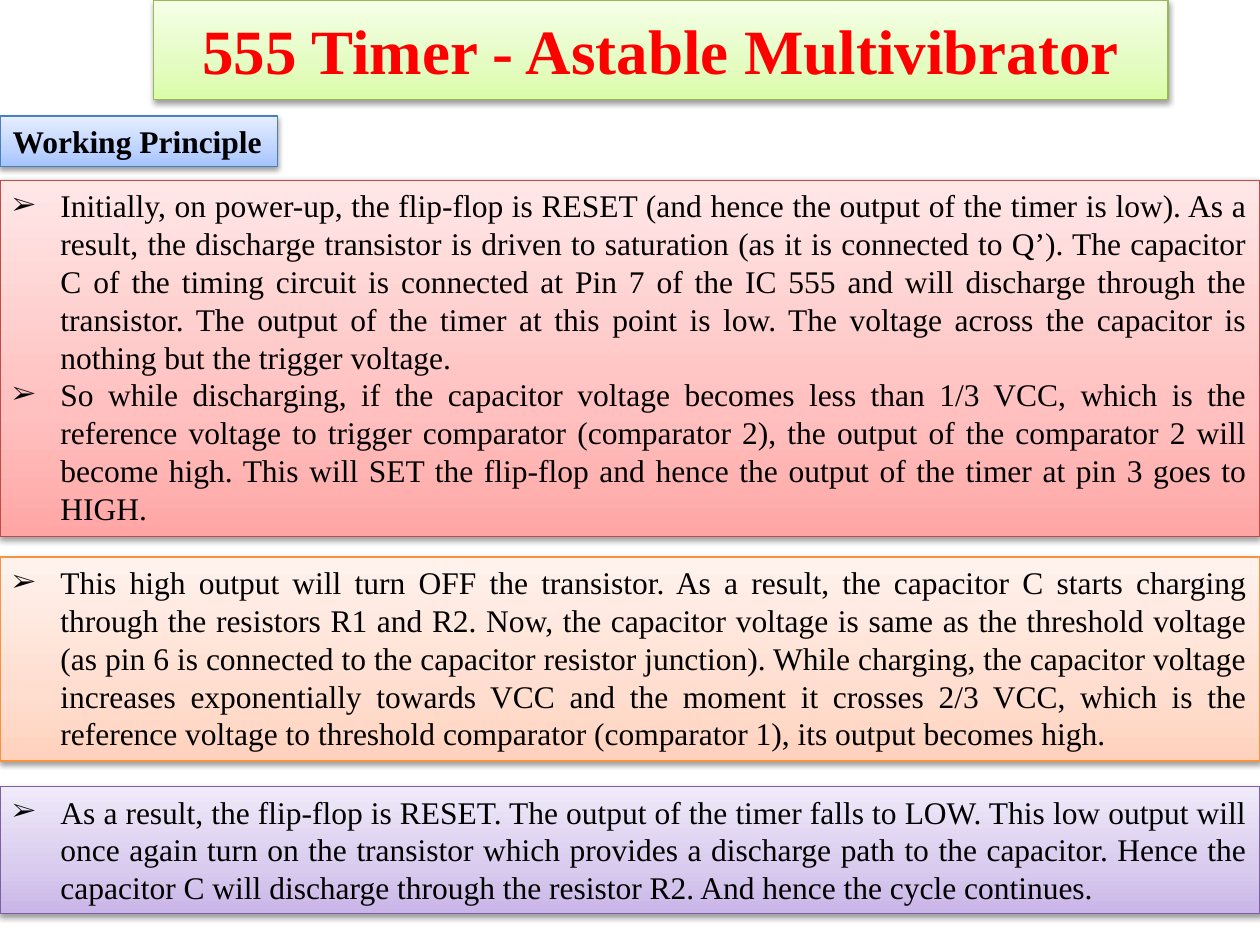
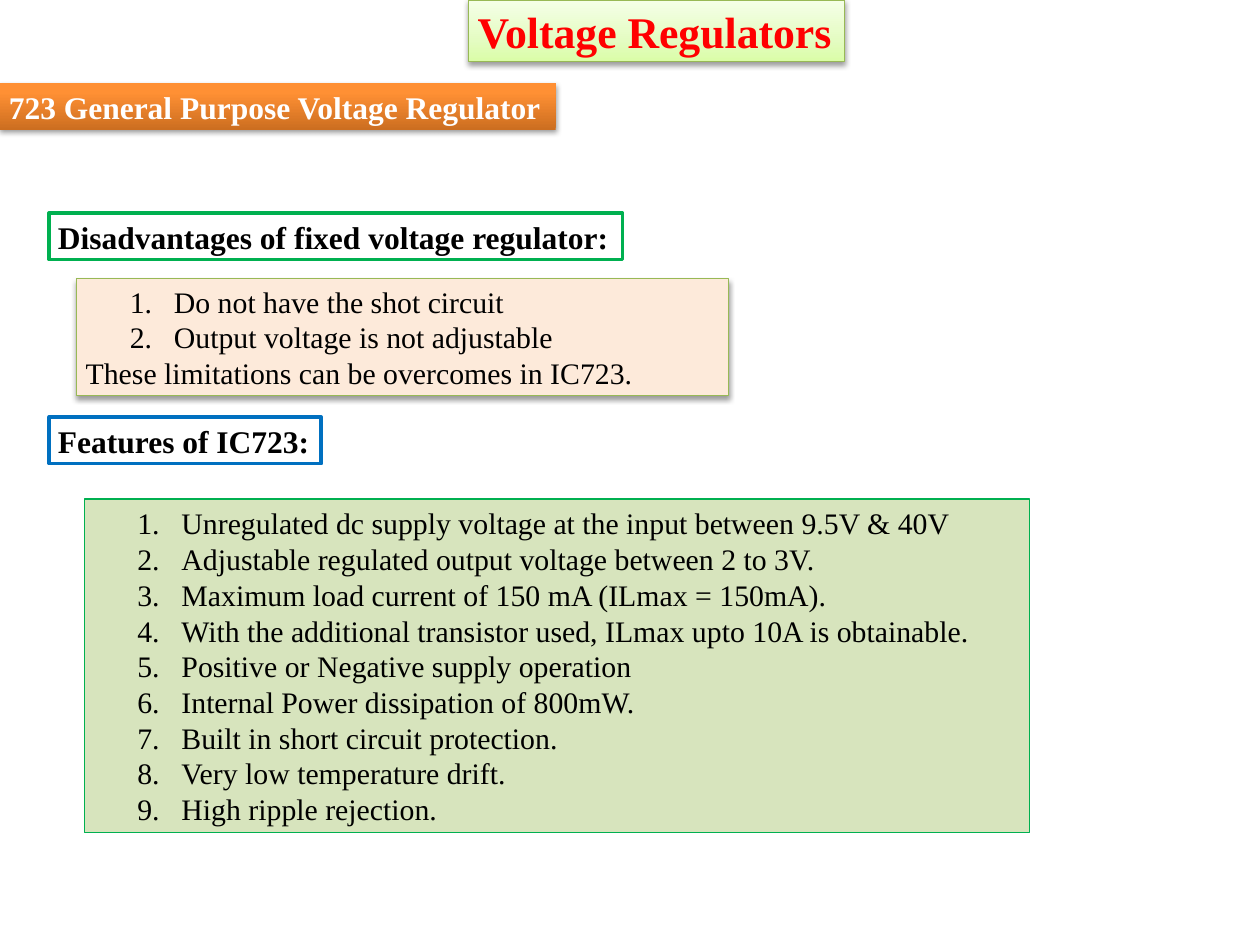
"""Build two slides on the 555 astable multivibrator and the 723 voltage regulator."""
from lxml import etree
from pptx import Presentation
from pptx import util as u
from pptx.dml.color import RGBColor
from pptx.enum import text
from pptx.oxml.ns import qn

COLORS = {
    "title": "FF0000", "ink": "000000", "white": "FFFFFF",
    "lime_edge": "98B955", "blue_edge": "4B7EBC", "red_edge": "BF4C48",
    "orange_edge": "F69240", "purple_edge": "7D60A0",
    "green": "00B050", "blue": "0070C0", "peach": "FDEADA", "sage": "D7E4BD",
}
GRADIENTS = {
    "lime": [(0, "DAFDA7"), (35, "E4FCC2"), (100, "F5FFE7")],
    "blue": [(0, "A4C4FF"), (35, "BFD4FF"), (100, "E6EEFF")],
    "red": [(0, "FFA6A5"), (35, "FFC0BF"), (100, "FFE7E7")],
    "orange": [(0, "FFD2BD"), (35, "FFDED0"), (100, "FFF2ED")],
    "purple": [(0, "C9B5E8"), (35, "D8CBEE"), (100, "F0EAF9")],
    "banner": [(0, "CC6E20"), (80, "FF9034"), (100, "FF9136")],
}
FONT = "Times New Roman"
WIDE_INSETS, SLIM_INSETS = (0.1, 0.05), (0.07, 0.04)
TOP, MIDDLE = text.MSO_ANCHOR.TOP, text.MSO_ANCHOR.MIDDLE
LEFT, CENTER, JUSTIFY = text.PP_ALIGN.LEFT, text.PP_ALIGN.CENTER, text.PP_ALIGN.JUSTIFY


def style_box(shape, at, fill, edge=None, width=0.75, shadow=True,
              insets=WIDE_INSETS, anchor=TOP):
    """Place a box and set its fill, edge, shadow and text frame."""
    shape.left, shape.top, shape.width, shape.height = [u.Inches(value) for value in at]
    properties = shape.element.spPr
    if fill in GRADIENTS:
        shape.fill.gradient()
        shape.fill.gradient_angle = 90
        stops = properties.find(qn("a:gradFill")).find(qn("a:gsLst"))
        for stop in list(stops):
            stops.remove(stop)
        for position, color in GRADIENTS[fill]:
            stop = etree.SubElement(stops, qn("a:gs"), pos=str(position * 1000))
            etree.SubElement(stop, qn("a:srgbClr"), val=color)
    else:
        shape.fill.solid()
        shape.fill.fore_color.rgb = RGBColor.from_string(COLORS[fill])
    if edge:
        shape.line.color.rgb = RGBColor.from_string(COLORS[edge])
        shape.line.width = u.Pt(width)
    else:
        shape.line.fill.background()
    shape.shadow.inherit = False
    if shadow:
        effects = properties.find(qn("a:effectLst"))
        outer = etree.SubElement(effects, qn("a:outerShdw"), blurRad="40000",
                                 dist="20000", dir="5400000", rotWithShape="0")
        color = etree.SubElement(outer, qn("a:srgbClr"), val=COLORS["ink"])
        etree.SubElement(color, qn("a:alpha"), val="38000")
    frame = shape.text_frame
    frame.margin_left = frame.margin_right = u.Inches(insets[0])
    frame.margin_top = frame.margin_bottom = u.Inches(insets[1])
    frame.vertical_anchor = anchor
    frame.word_wrap = True
    frame.auto_size = text.MSO_AUTO_SIZE.NONE


def write(shape, lines, size, color="ink", bold=False, align=LEFT, bullet=None):
    """Write one paragraph a line, with arrow bullets, numbers or no marker."""
    frame = shape.text_frame
    for index, line in enumerate(lines):
        paragraph = frame.paragraphs[0] if index == 0 else frame.add_paragraph()
        marker = None if line.startswith("These limitations") else bullet
        paragraph.alignment = align
        paragraph.space_before = u.Pt(0)
        properties = paragraph._p.get_or_add_pPr()
        if marker == "number":
            paragraph.level = 1
        margin, indent = {"number": (0.7, -0.35), "arrow": (0.38, -0.38), None: (0, 0)}[marker]
        properties.set("marL", str(u.Inches(margin)))
        properties.set("indent", str(u.Inches(indent)))
        if marker == "arrow":
            etree.SubElement(properties, qn("a:buSzPct"), val="80000")
        if marker:
            etree.SubElement(properties, qn("a:buFont"), typeface=FONT)
        if marker == "number":
            etree.SubElement(properties, qn("a:buAutoNum"), type="arabicPeriod")
        elif marker == "arrow":
            etree.SubElement(properties, qn("a:buChar"), char="➢")
        else:
            etree.SubElement(properties, qn("a:buNone"))
        run = paragraph.add_run()
        run.text = line
        run.font.name = FONT
        run.font.size = u.Pt(size)
        run.font.bold = bold
        run.font.color.rgb = RGBColor.from_string(COLORS[color])


presentation = Presentation()
presentation.slide_width, presentation.slide_height = u.Inches(10), u.Inches(7.5)
comparison_layout = presentation.slide_layouts[4]

slide = presentation.slides.add_slide(comparison_layout)
boxes = {shape.placeholder_format.idx: shape for shape in slide.placeholders}
style_box(boxes[0], (1.22, 0, 8.05, 0.79), "lime", "lime_edge", anchor=MIDDLE)
write(boxes[0], ["555 Timer - Astable Multivibrator"], 36, "title", True, CENTER)
style_box(boxes[1], (0, 0.92, 2.2, 0.4), "blue", "blue_edge")
write(boxes[1], ["Working Principle"], 18, bold=True)

working_steps = [
    (2, 1.43, 2.83, "red", [
        "Initially, on power-up, the flip-flop is RESET (and hence the output of the timer is "
        "low). As a result, the discharge transistor is driven to saturation (as it is connected "
        "to Q’). The capacitor C of the timing circuit is connected at Pin 7 of the IC 555 and "
        "will discharge through the transistor. The output of the timer at this point is low. "
        "The voltage across the capacitor is nothing but the trigger voltage.",
        "So while discharging, if the capacitor voltage becomes less than 1/3 VCC, which is the "
        "reference voltage to trigger comparator (comparator 2), the output of the comparator 2 "
        "will become high. This will SET the flip-flop and hence the output of the timer at pin "
        "3 goes to HIGH."]),
    (3, 4.42, 1.62, "orange", [
        "This high output will turn OFF the transistor. As a result, the capacitor C starts "
        "charging through the resistors R1 and R2. Now, the capacitor voltage is same as the "
        "threshold voltage (as pin 6 is connected to the capacitor resistor junction). While "
        "charging, the capacitor voltage increases exponentially towards VCC and the moment it "
        "crosses 2/3 VCC, which is the reference voltage to threshold comparator (comparator 1), "
        "its output becomes high."]),
    (4, 6.24, 1.01, "purple", [
        "As a result, the flip-flop is RESET. The output of the timer falls to LOW. This low "
        "output will once again turn on the transistor which provides a discharge path to the "
        "capacitor. Hence the capacitor C will discharge through the resistor R2. And hence the "
        "cycle continues."]),
]
for idx, top, height, tone, lines in working_steps:
    style_box(boxes[idx], (0, top, 10, height), tone, f"{tone}_edge")
    write(boxes[idx], lines, 18, align=JUSTIFY, bullet="arrow")

slide = presentation.slides.add_slide(comparison_layout)
boxes = {shape.placeholder_format.idx: shape for shape in slide.placeholders}
style_box(boxes[0], (3.72, 0, 2.98, 0.49), "lime", "lime_edge", insets=SLIM_INSETS)
write(boxes[0], ["Voltage Regulators"], 25, "title", True)
banner = slide.shapes.add_textbox(0, 0, 0, 0)
style_box(banner, (0, 0.66, 4.41, 0.37), "banner", insets=SLIM_INSETS)
write(banner, ["723 General Purpose Voltage Regulator"], 18, "white", True)

headings = [
    (1, 1.69, 4.55, "green", "Disadvantages of fixed voltage regulator:"),
    (3, 3.31, 2.16, "blue", "Features of IC723:"),
]
for idx, top, width, edge, heading in headings:
    style_box(boxes[idx], (0.39, top, width, 0.37), "white", edge, 2, False, SLIM_INSETS)
    write(boxes[idx], [heading], 18, bold=True)

numbered_lists = [
    (2, (0.61, 2.21, 5.17, 0.93), "peach", "lime_edge", True, [
        "Do not have the shot circuit",
        "Output voltage is not adjustable",
        "These limitations can be overcomes in IC723."]),
    (4, (0.67, 3.96, 7.5, 2.65), "sage", "green", False, [
        "Unregulated dc supply voltage at the input between 9.5V & 40V",
        "Adjustable regulated output voltage between 2 to 3V.",
        "Maximum load current of 150 mA (ILmax = 150mA).",
        "With the additional transistor used, ILmax upto 10A is obtainable.",
        "Positive or Negative supply operation",
        "Internal Power dissipation of 800mW.",
        "Built in short circuit protection.",
        "Very low temperature drift.",
        "High ripple rejection."]),
]
for idx, at, fill, edge, shadow, lines in numbered_lists:
    style_box(boxes[idx], at, fill, edge, 0.75, shadow, SLIM_INSETS, MIDDLE)
    write(boxes[idx], lines, 17, align=JUSTIFY, bullet="number")

presentation.save("out.pptx")
